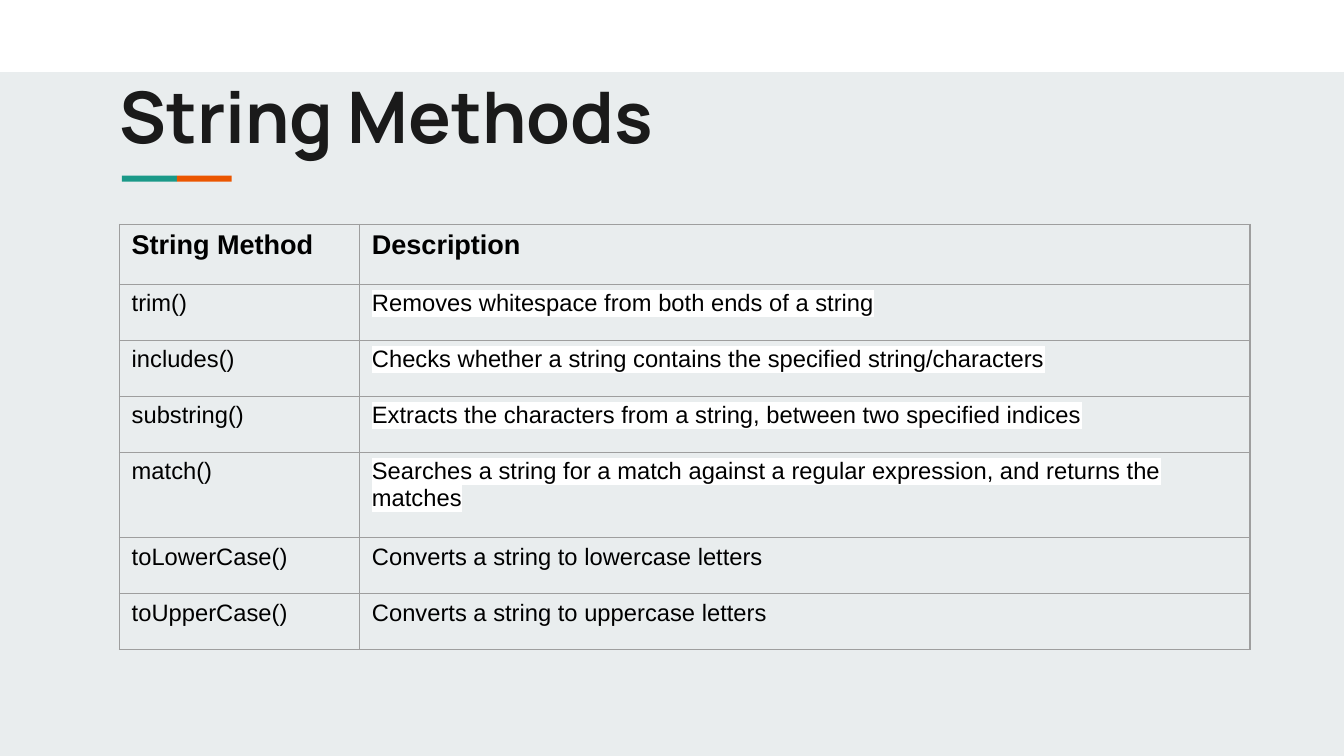
from lxml import etree
from pptx import Presentation
from pptx import util as u
from pptx.dml.color import RGBColor
from pptx.enum import shapes, text
from pptx.oxml.ns import qn

WIDTH, HEIGHT = 11.02, 6.2
COLORS = {
    "page": "E9EDEE", "band": "FFFFFF", "teal": "1A9988", "orange": "EB5600",
    "title": "1A1A1A", "body": "000000", "border": "9E9E9E", "mark": "FFFFFF",
}
COLUMNS = [1.97, 7.3]
ROW, HEADER_ROW, TALL_ROW = 0.46, 0.49, 0.7
# Method, description, whether the description is highlighted
METHODS = [
    ("trim()", "Removes whitespace from both ends of a string", True),
    ("includes()", "Checks whether a string contains the specified string/characters", True),
    ("substring()", "Extracts the characters from a string, between two specified indices", True),
    ("match()", "Searches a string for a match against a regular expression, "
                "and returns the matches", True),
    ("toLowerCase()", "Converts a string to lowercase letters", False),
    ("toUpperCase()", "Converts a string to uppercase letters", False),
]


def rgb(name):
    return RGBColor.from_string(COLORS[name])


def add_color(parent, tag, name):
    holder = etree.SubElement(parent, qn(tag))
    etree.SubElement(holder, qn("a:srgbClr"), val=COLORS[name])
    return holder


def add_bar(page, left, top, width, height, color):
    bar = page.shapes.add_shape(shapes.MSO_SHAPE.RECTANGLE,
                                *map(u.Inches, (left, top, width, height)))
    bar.shadow.inherit = False
    bar.fill.solid()
    bar.fill.fore_color.rgb = rgb(color)
    bar.line.fill.background()


def add_span(para, words, font, size, color, bold=False, marked=False):
    span = para.add_run()
    span.text = words
    span.font.size = u.Pt(size)
    span.font.bold = bold
    span.font.color.rgb = rgb(color)
    span.font.name = font
    if marked:
        props = span.font._element
        props.find(qn("a:solidFill")).addnext(add_color(props, "a:highlight", "mark"))


def set_title(page, words):
    title = page.shapes.title
    title.left, title.top, title.width, title.height = map(u.Inches, (0.88, 0.49, 9.27, 2.01))
    box = title.text_frame
    box.word_wrap = True
    box.auto_size = text.MSO_AUTO_SIZE.NONE
    box.vertical_anchor = text.MSO_ANCHOR.TOP
    box.margin_left = box.margin_right = box.margin_top = box.margin_bottom = u.Inches(0.1)
    para = box.paragraphs[0]
    para.alignment = text.PP_ALIGN.LEFT
    para.line_spacing = 1.0
    para.space_before = u.Pt(0)
    add_span(para, words, "Manrope", 42, "title", bold=True)


def set_borders(cell):
    props = cell._tc.get_or_add_tcPr()
    for place, side in enumerate("LRTB"):
        line = etree.Element(qn("a:ln" + side), w=str(u.Pt(0.75)))
        add_color(line, "a:solidFill", "border")
        props.insert(place, line)


def fill_cell(cell, words, size, bold=False, marked=False):
    cell.fill.background()
    cell.margin_left = cell.margin_right = u.Inches(0.1)
    cell.margin_top = cell.margin_bottom = u.Inches(0.05)
    cell.vertical_anchor = text.MSO_ANCHOR.TOP
    para = cell.text_frame.paragraphs[0]
    para.alignment = text.PP_ALIGN.LEFT
    add_span(para, words, "Arial", size, "body", bold, marked)
    set_borders(cell)


def add_method_table(page):
    heights = [HEADER_ROW] + [TALL_ROW if name == "match()" else ROW for name, *_ in METHODS]
    frame = page.shapes.add_table(len(heights), len(COLUMNS), u.Inches(0.98), u.Inches(1.84),
                                  u.Inches(sum(COLUMNS)), u.Inches(sum(heights)))
    table = frame.table
    table.first_row = table.horz_banding = False
    for column, width in zip(table.columns, COLUMNS):
        column.width = u.Inches(width)
    for row, height in zip(table.rows, heights):
        row.height = u.Inches(height)
    for index, heading in enumerate(("String Method", "Description")):
        fill_cell(table.cell(0, index), heading, 16, bold=True)
    for index, (name, description, marked) in enumerate(METHODS, 1):
        fill_cell(table.cell(index, 0), name, 14)
        fill_cell(table.cell(index, 1), description, 14, marked=marked)


def main():
    deck = Presentation()
    deck.slide_width, deck.slide_height = u.Inches(WIDTH), u.Inches(HEIGHT)
    page = deck.slides.add_slide(deck.slide_layouts[5])
    page.background.fill.solid()
    page.background.fill.fore_color.rgb = rgb("page")

    # Top band and two-colour accent
    add_bar(page, 0, 0, WIDTH, 0.59, "band")
    for index, color in enumerate(("teal", "orange")):
        add_bar(page, 1 + index * 0.45, 1.44, 0.45, 0.05, color)

    # Title and table
    set_title(page, "String Methods")
    add_method_table(page)
    deck.save("out.pptx")


if __name__ == "__main__":
    main()
